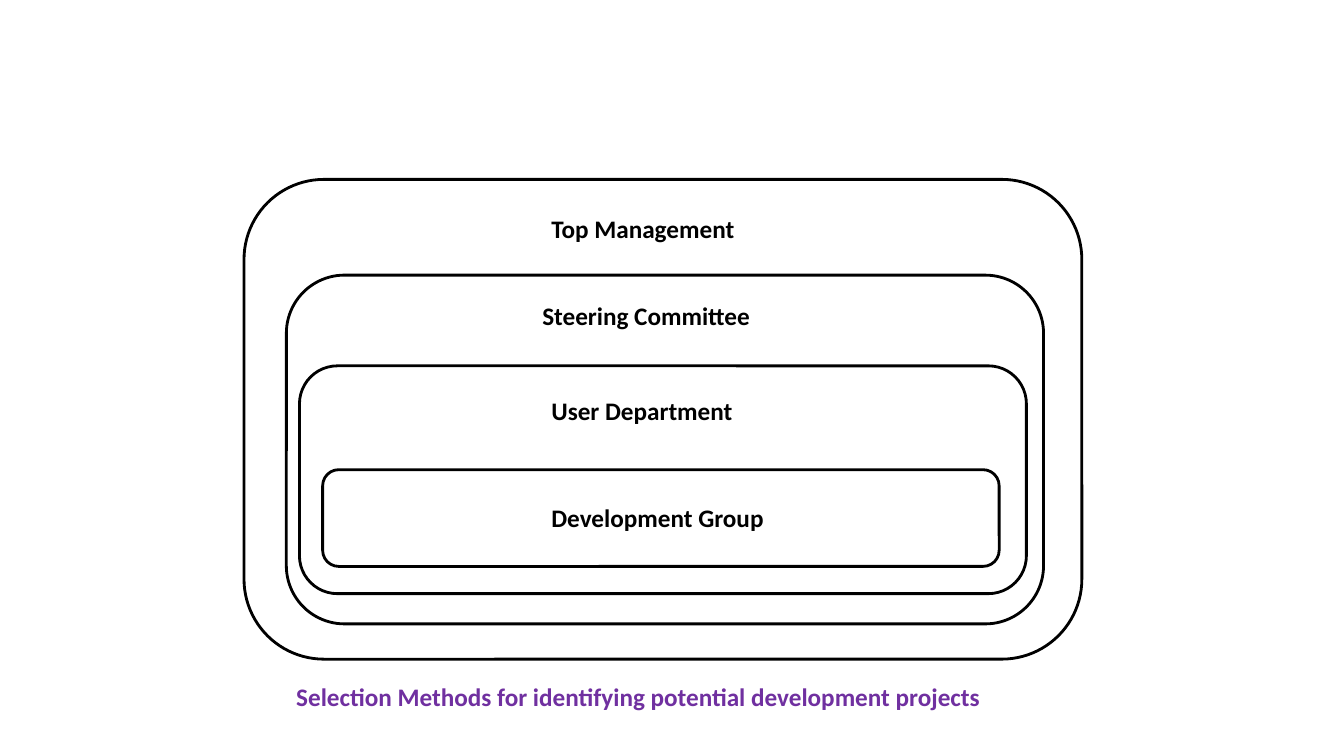
from pptx import Presentation
from pptx.dml.color import RGBColor
from pptx.enum.shapes import MSO_SHAPE
from pptx.enum.text import MSO_AUTO_SIZE
from pptx.util import Inches, Pt

BLACK = RGBColor(0x00, 0x00, 0x00)
WHITE = RGBColor(0xFF, 0xFF, 0xFF)
PURPLE = RGBColor(0x70, 0x30, 0xA0)
LABEL_HEIGHT = 0.4

# Outermost level first: name, box (left, top, width, height), label (left, top, width)
LEVELS = [
    ("Top Management", (2.42, 1.78, 8.31, 4.76), (5.37, 2.07, 2.1)),
    ("Steering Committee", (2.84, 2.73, 7.51, 3.46), (5.28, 2.93, 2.29)),
    ("User Department", (2.97, 3.63, 7.21, 2.26), (5.37, 3.87, 2.26)),
    ("Development Group", (3.2, 4.66, 6.71, 0.96), (5.37, 4.93, 2.44)),
]
CAPTION = "Selection Methods for identifying potential development projects"
CAPTION_PLACE = (2.84, 6.71, 7.43)


def add_box(slide, place):
    """Add a white rounded box with a black outline."""
    sp = slide.shapes.add_shape(MSO_SHAPE.ROUNDED_RECTANGLE, *map(Inches, place))
    sp.shadow.inherit = False
    sp.fill.solid()
    sp.fill.fore_color.rgb = WHITE
    sp.line.color.rgb = BLACK
    sp.line.width = Pt(2)


def add_label(slide, text, place, color=BLACK):
    """Add one line of bold text at (left, top, width)."""
    sp = slide.shapes.add_textbox(*map(Inches, (*place, LABEL_HEIGHT)))
    tf = sp.text_frame
    tf.word_wrap = True
    tf.auto_size = MSO_AUTO_SIZE.SHAPE_TO_FIT_TEXT
    p = tf.paragraphs[0]
    p.text = text
    p.font.name = "Calibri"
    p.font.size = Pt(18)
    p.font.bold = True
    p.font.color.rgb = color


prs = Presentation()
prs.slide_width, prs.slide_height = Inches(13.33), Inches(7.5)
slide = prs.slides.add_slide(prs.slide_layouts[6])

for name, box, label in LEVELS:
    add_box(slide, box)
    add_label(slide, name, label)
add_label(slide, CAPTION, CAPTION_PLACE, PURPLE)

prs.save("out.pptx")
